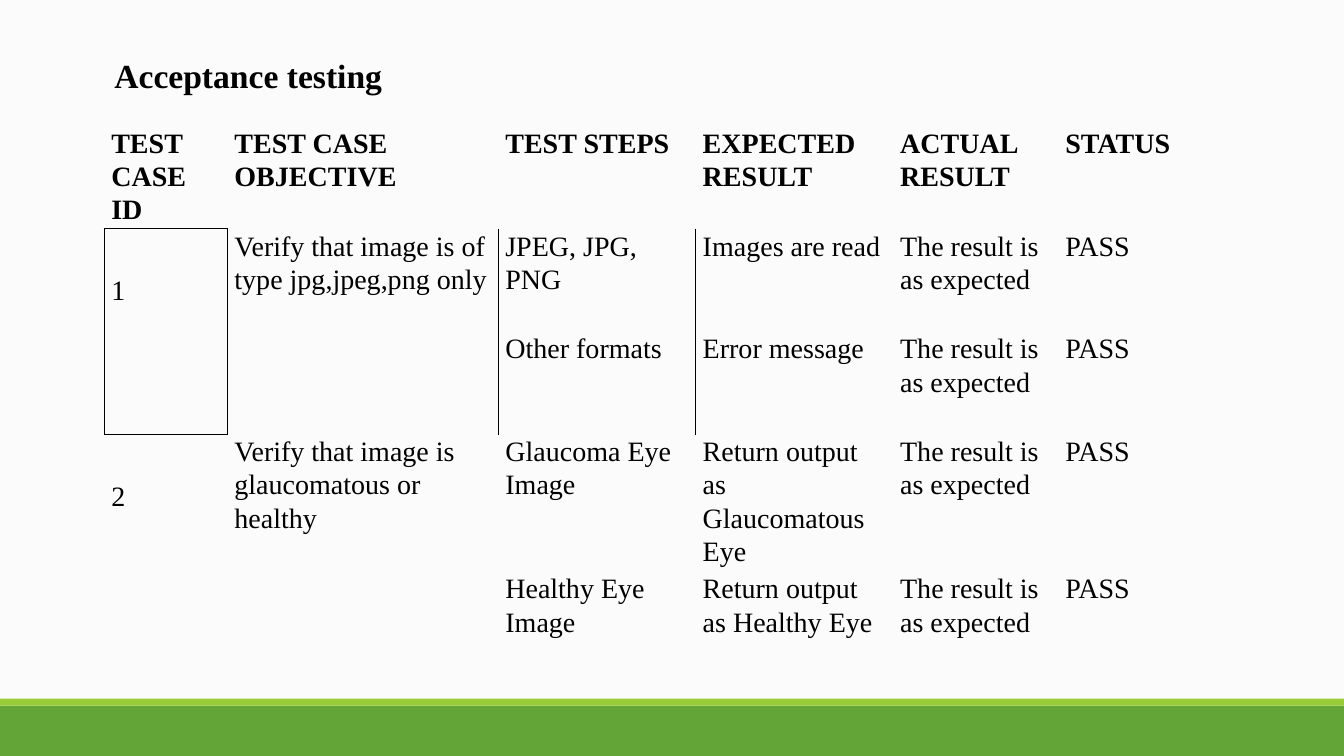
from dataclasses import dataclass

from lxml.etree import SubElement
from pptx import Presentation
from pptx.dml.color import RGBColor as RGB
from pptx.enum.shapes import MSO_SHAPE as SHAPE
from pptx.enum.text import MSO_ANCHOR as ANCHOR, MSO_AUTO_SIZE as AUTO, PP_ALIGN as ALIGN
from pptx.oxml.ns import qn
from pptx.util import Pt


@dataclass(frozen=True)
class Theme:
    """Colours, font and type sizes of the slide."""
    back: str = "FBFBFB"
    ink: str = "000000"
    green: str = "63A537"
    lime: str = "99CB38"
    font: str = "Times New Roman"
    title: int = 24
    body: int = 20


THEME = Theme()
NO_GRID = "{2D5ABB26-0587-4C30-8999-92F81FD0307C}"
COLS = [88, 193.5, 141, 141, 118, 106]
ROWS = [73.5, 73.5, 73.5, 98, 73.5]
HEADS = ["TEST CASE ID", "TEST CASE OBJECTIVE", "TEST STEPS",
         "EXPECTED RESULT", "ACTUAL RESULT", "STATUS"]
CASES = [
    ("1", "Verify that image is of type jpg,jpeg,png only",
     [("JPEG, JPG, PNG", "Images are read"), ("Other formats", "Error message")]),
    ("2", "Verify that image is glaucomatous or healthy",
     [("Glaucoma Eye Image", "Return output as Glaucomatous Eye"),
      ("Healthy Eye Image", "Return output as Healthy Eye")]),
]
OUTCOME = ("The result is as expected", "PASS")
ID_DROP = 32
BORDERS = {(0, 0): "B", (1, 0): "LRTB", (2, 0): "LRTB", (3, 0): "T",
           (1, 1): "LR", (2, 1): "LR", (1, 2): "L", (2, 2): "L"}


def set_all(obj, values):
    """Set every attribute named in a dict of format values."""
    for name, value in values.items():
        setattr(obj, name, value)


def write(tf, text, size, bold=False, spacing=1.0):
    """Write one left-aligned paragraph in the theme font."""
    p = tf.paragraphs[0]
    set_all(p, {"alignment": ALIGN.LEFT, "line_spacing": spacing})
    r = p.add_run()
    r.text = text
    set_all(r.font, {"name": THEME.font, "size": Pt(size), "bold": bold})
    r.font.color.rgb = RGB.from_string(THEME.ink)


def add_title(s, left, top, width, height):
    """Place the slide title in its box."""
    sp = s.shapes.title
    set_all(sp, {"left": Pt(left), "top": Pt(top), "width": Pt(width), "height": Pt(height)})
    tf = sp.text_frame
    set_all(tf, {"word_wrap": True, "auto_size": AUTO.NONE, "vertical_anchor": ANCHOR.TOP})
    write(tf, "Acceptance testing", THEME.title, bold=True)


def add_footer(s, left, top, width, height, stripe=5):
    """Draw the footer band with a light stripe along its top."""
    for y, h, color in ((top + stripe, height - stripe, THEME.green), (top, stripe, THEME.lime)):
        sp = s.shapes.add_shape(SHAPE.RECTANGLE, Pt(left), Pt(y), Pt(width), Pt(h))
        sp.shadow.inherit = False
        sp.fill.solid()
        sp.fill.fore_color.rgb = RGB.from_string(color)
        sp.line.fill.background()


def add_borders(cell, sides):
    """Add thin lines on the given sides of a cell."""
    tc_pr = cell._tc.get_or_add_tcPr()
    for side in sides:
        ln = SubElement(tc_pr, qn(f"a:ln{side}"), w=str(Pt(1)))
        SubElement(SubElement(ln, qn("a:solidFill")), qn("a:srgbClr"), val=THEME.ink)


def fill_cell(cell, text, bold=False, drop=0):
    """Write a table cell, its text lowered by drop points."""
    set_all(cell, {"margin_left": Pt(5), "margin_right": Pt(5), "margin_top": Pt(drop),
                   "margin_bottom": 0, "vertical_anchor": ANCHOR.TOP})
    write(cell.text_frame, text, THEME.body, bold, 1.07)


def add_cases(s, left, top):
    """Build the table of test cases from its top left corner."""
    frame = s.shapes.add_table(len(ROWS), len(COLS), Pt(left), Pt(top),
                               Pt(sum(COLS)), Pt(sum(ROWS)))
    table = frame.table
    set_all(table, {"first_row": False, "horz_banding": False})
    table._tbl.tblPr.find(qn("a:tableStyleId")).text = NO_GRID
    for col, width in zip(table.columns, COLS):
        col.width = Pt(width)
    for row, height in zip(table.rows, ROWS):
        row.height = Pt(height)
    for c, head in enumerate(HEADS):
        fill_cell(table.cell(0, c), head, bold=True)
    r = 1
    for case_id, objective, steps in CASES:
        for c, text, drop in ((0, case_id, ID_DROP), (1, objective, 0)):
            table.cell(r, c).merge(table.cell(r + len(steps) - 1, c))
            fill_cell(table.cell(r, c), text, drop=drop)
        for step in steps:
            for c, text in enumerate(step + OUTCOME, 2):
                fill_cell(table.cell(r, c), text)
            r += 1
    for r in range(len(ROWS)):
        for c in range(len(COLS)):
            cell = table.cell(r, c)
            add_borders(cell, BORDERS.get((r, c), ""))
            cell.fill.background()


def main():
    """Build and save the slide."""
    prs = Presentation()
    set_all(prs, {"slide_width": Pt(960), "slide_height": Pt(540)})
    s = prs.slides.add_slide(prs.slide_layouts[5])
    s.background.fill.solid()
    s.background.fill.fore_color.rgb = RGB.from_string(THEME.back)
    add_footer(s, 0, 499, 960, 41)
    add_cases(s, 74.5, 90)
    add_title(s, 74.5, 35.5, 533.5, 53.5)
    prs.save("out.pptx")


if __name__ == "__main__":
    main()
